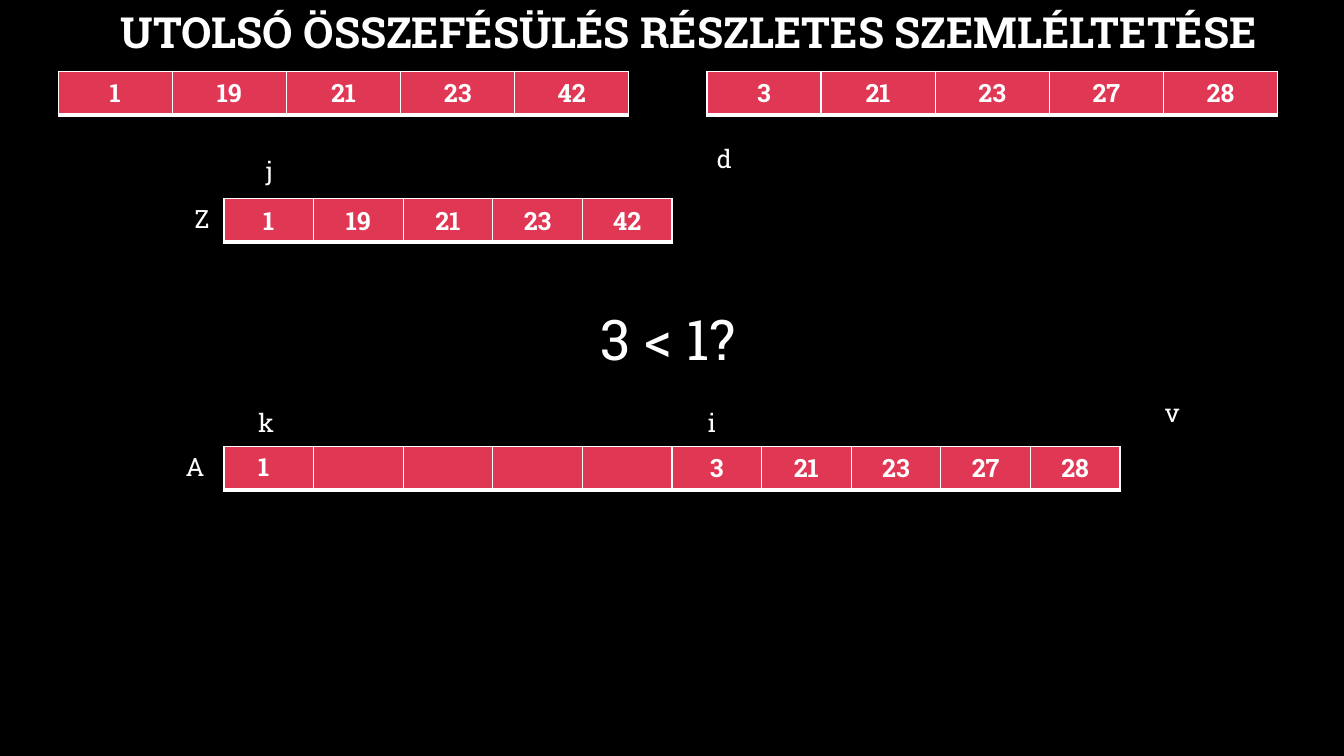
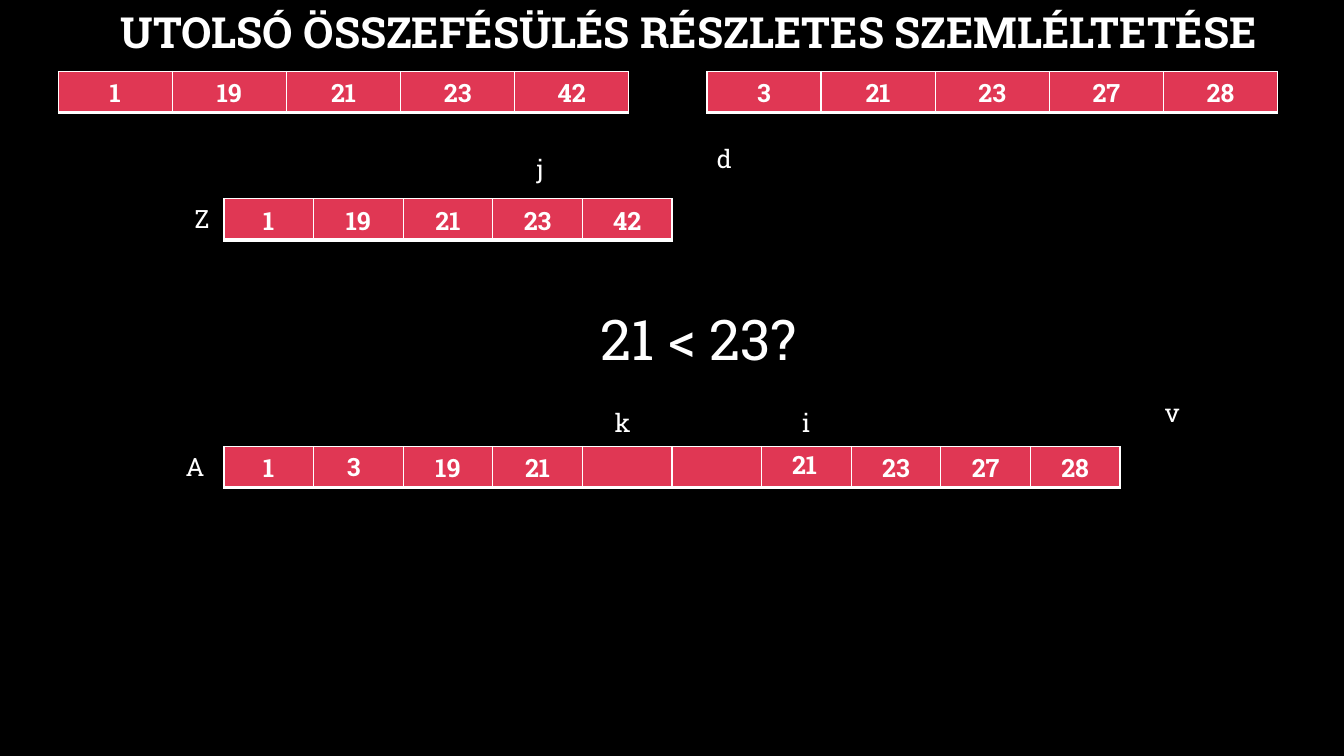
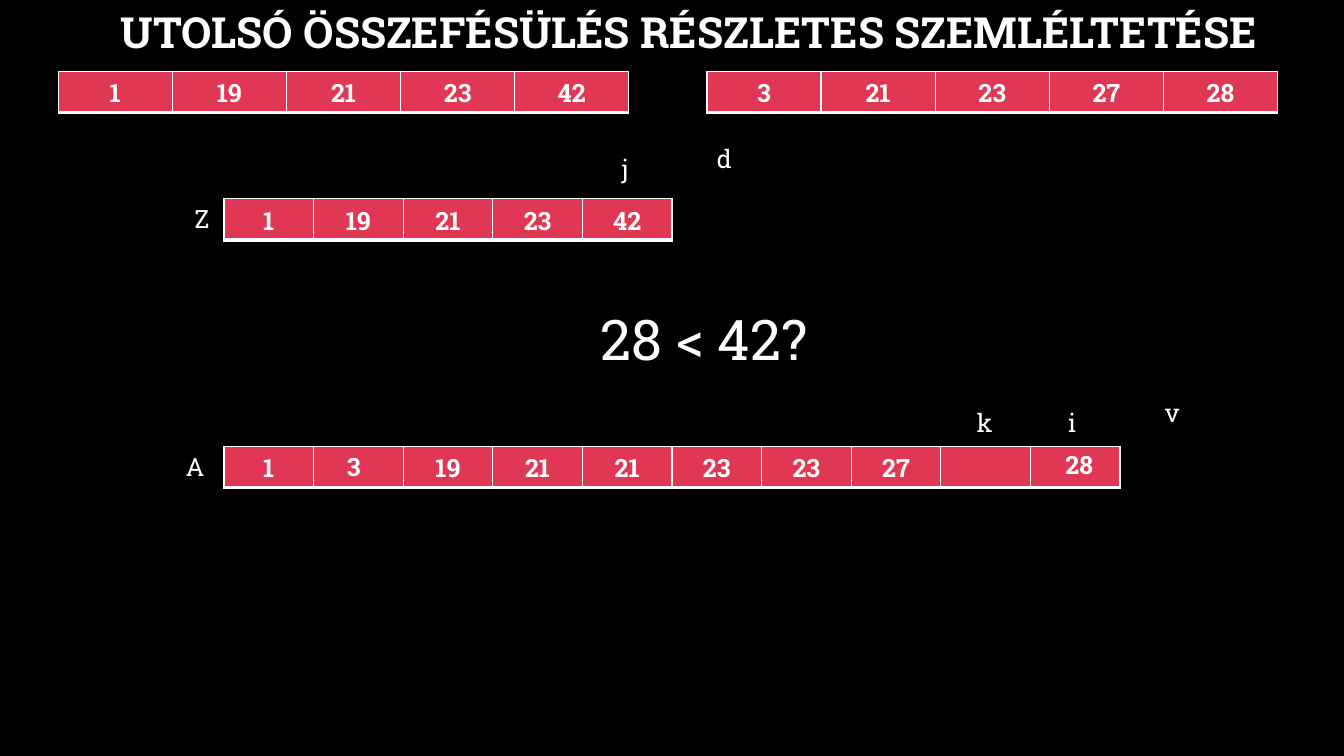
from lxml import etree
from pptx import Presentation
from pptx.dml.color import RGBColor
from pptx.enum.text import MSO_ANCHOR, MSO_AUTO_SIZE, PP_ALIGN
from pptx.oxml.ns import qn
from pptx.util import Inches, Pt

CENTER, LEFT = PP_ALIGN.CENTER, PP_ALIGN.LEFT
TOP, MIDDLE = MSO_ANCHOR.TOP, MSO_ANCHOR.MIDDLE
GROW, FIXED = MSO_AUTO_SIZE.SHAPE_TO_FIT_TEXT, MSO_AUTO_SIZE.NONE
BLANK_LAYOUT = 6

COLORS = {"back": "000000", "text": "FFFFFF", "cell": "E03754", "border": "FFFFFF"}
FONT = "Roboto Slab"
FORMATS = {
    "title": {"size": Pt(30.6), "bold": True},
    "value": {"size": Pt(18), "bold": True},
    "label": {"size": Pt(18), "bold": False},
    "question": {"size": Pt(40), "bold": False},
}
BORDERS = {"lnL": 1, "lnR": 1, "lnT": 1, "lnB": 3}
COLUMNS, ROWS = 15, 18

TITLE = "UTOLSÓ ÖSSZEFÉSÜLÉS RÉSZLETES SZEMLÉLTETÉSE"
LEFT_HALF = [1, 19, 21, 23, 42]
RIGHT_HALF = [3, 21, 23, 27, 28]
HALF_WIDTH = 6.37
ARRAY_LEFT, ARRAY_TOP = 2.5, 10.63
POINTER_TOP = 9.58

# Pointers and moving values are (text, column, row); None is an empty cell.
STEPS = [
    {
        "question": "3 < 1?",
        "array": [None] * 5 + RIGHT_HALF,
        "pointers": [("i", 7.79, POINTER_TOP), ("j", 2.86, 3.58), ("k", 2.77, POINTER_TOP)],
        "moving": [("1", 2.77, ARRAY_TOP)],
    },
    {
        "question": "21 < 23?",
        "array": [1, None, 19, 21, None, None, None, 23, 27, 28],
        "pointers": [("i", 8.84, POINTER_TOP), ("j", 5.88, 3.53), ("k", 6.75, POINTER_TOP)],
        "moving": [("3", 3.76, ARRAY_TOP), ("21", 8.73, 10.58)],
    },
    {
        "question": "28 < 42?",
        "array": [1, None, 19, 21, 21, 23, 23, 27, None, None],
        "pointers": [("i", 11.81, POINTER_TOP), ("j", 6.83, 3.53), ("k", 10.79, POINTER_TOP)],
        "moving": [("3", 3.76, ARRAY_TOP), ("28", 11.78, 10.58)],
    },
]


class MergeDeck:
    """Holds the style and the current slide; lengths are grid columns and rows."""

    def __init__(self):
        self.deck = Presentation()
        self.deck.slide_width, self.deck.slide_height = Inches(13.33), Inches(7.5)
        back = self.deck.slide_master.background.fill
        back.solid()
        back.fore_color.rgb = RGBColor.from_string(COLORS["back"])
        self.page = None

    def place(self, left, top, width, height):
        column = self.deck.slide_width / COLUMNS
        row = self.deck.slide_height / ROWS
        return [round(n) for n in (left * column, top * row, width * column, height * row)]

    def add_span(self, frame, text, style, align=LEFT):
        para = frame.paragraphs[0]
        para.alignment = align
        span = para.add_run()
        span.text = text
        for name, value in {"name": FONT, **FORMATS[style]}.items():
            setattr(span.font, name, value)
        span.font.color.rgb = RGBColor.from_string(COLORS["text"])
        return para

    def add_text(self, text, left, top, width, height=0.96, style="label"):
        box = self.page.shapes.add_textbox(*self.place(left, top, width, height))
        frame = box.text_frame
        is_title = style == "title"
        layout = {
            "word_wrap": True,
            "auto_size": FIXED if is_title else GROW,
            "vertical_anchor": MIDDLE if is_title else TOP,
        }
        for name, value in layout.items():
            setattr(frame, name, value)
        return self.add_span(frame, text, style, CENTER if is_title else LEFT)

    def add_borders(self, cell):
        properties = cell._tc.get_or_add_tcPr()
        for index, (side, points) in enumerate(BORDERS.items()):
            line = etree.Element(qn(f"a:{side}"), w=str(Pt(points)))
            fill = etree.SubElement(line, qn("a:solidFill"))
            etree.SubElement(fill, qn("a:srgbClr"), val=COLORS["border"])
            properties.insert(index, line)

    def add_array(self, values, left, top, width):
        """Draw a one-row table, a cell for each value."""
        place = self.place(left, top, width, 0.98)
        table = self.page.shapes.add_table(1, len(values), *place).table
        table.first_row = table.horz_banding = False
        for cell, value in zip(table.rows[0].cells, values):
            cell.fill.solid()
            cell.fill.fore_color.rgb = RGBColor.from_string(COLORS["cell"])
            self.add_borders(cell)
            if value is not None:
                self.add_span(cell.text_frame, str(value), "value", CENTER)

    def add_step(self, question, array, pointers, moving):
        """Add a slide with one comparison of the merge."""
        self.page = self.deck.slides.add_slide(self.deck.slide_layouts[BLANK_LAYOUT])
        self.add_text(TITLE, 0.25, 0, 14.88, 1.63, "title").line_spacing = 0.9
        for values, left in ((LEFT_HALF, 0.65), (RIGHT_HALF, 7.89)):
            self.add_array(values, left, 1.7, HALF_WIDTH)
        for values, top in ((LEFT_HALF, 4.73), (array, ARRAY_TOP)):
            self.add_array(values, ARRAY_LEFT, top, len(values))
        for name, left, top in (("Z", 2.06, 4.73), ("A", 1.96, ARRAY_TOP)):
            self.add_text(name, left, top, 0.44)
        for name, left, top in pointers + [("d", 7.89, 3.29), ("v", 12.89, 9.34)]:
            self.add_text(name, left, top, 1.06)
        for value, left, top in moving:
            self.add_text(value, left, top, 0.91, style="value")
        self.add_text(question, 6.59, 7.13, 4.83, 1.85, "question")


def main():
    merge = MergeDeck()
    for step in STEPS:
        merge.add_step(**step)
    merge.deck.save("out.pptx")


if __name__ == "__main__":
    main()
